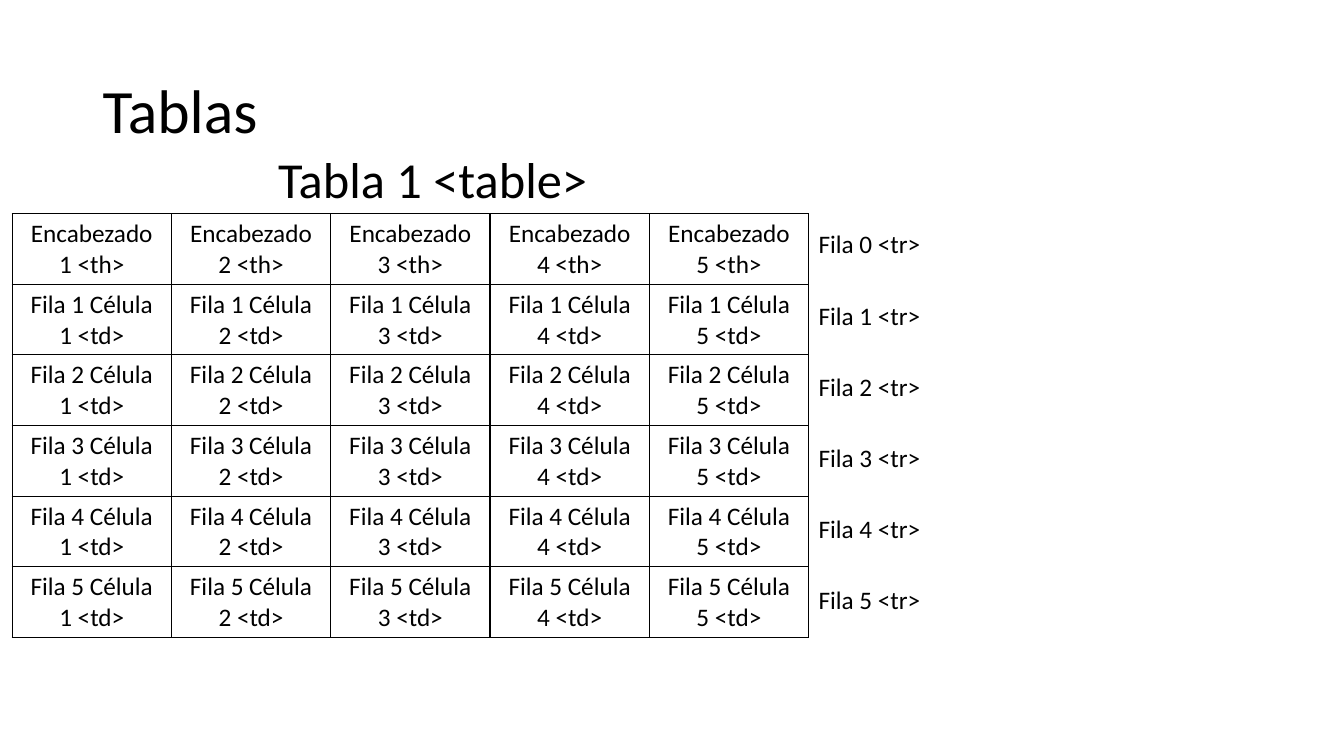
from dataclasses import dataclass

from lxml import etree
from pptx import Presentation, util as u
from pptx.dml.color import RGBColor
from pptx.enum import text
from pptx.oxml.ns import qn


@dataclass(frozen=True)
class Theme:
    font: str = "Calibri"
    ink: str = "000000"
    title: float = 44
    caption: float = 36
    body: float = 18
    border: float = 1


@dataclass(frozen=True)
class Box:
    """A region in inches."""
    left: float
    top: float
    width: float
    height: float

    def emu(self):
        return [u.Inches(n) for n in (self.left, self.top, self.width, self.height)]


THEME = Theme()
SLIDE = Box(0, 0, 13.33, 7.5)
ROWS, COLUMNS = 6, 5
ROW_HEIGHT, COLUMN_WIDTH = 0.7, 1.58
LABEL_GAP = 29.2  # space that brings each label level with its row


def style(paragraph, size, align=text.PP_ALIGN.LEFT):
    paragraph.alignment = align
    paragraph.font.name = THEME.font
    paragraph.font.size = u.Pt(size)
    paragraph.font.color.rgb = RGBColor.from_string(THEME.ink)


def add_text(slide, box, lines, size, anchor=text.MSO_ANCHOR.TOP,
             wrap=True, line_spacing=None, gap=0):
    frame = slide.shapes.add_textbox(*box.emu()).text_frame
    frame.word_wrap = wrap
    frame.vertical_anchor = anchor
    for index, line in enumerate(lines):
        paragraph = frame.add_paragraph() if index else frame.paragraphs[0]
        paragraph.text = line
        paragraph.line_spacing = line_spacing
        if index and gap:
            paragraph.space_before = u.Pt(gap)
        style(paragraph, size)


def set_borders(cell):
    properties = cell._tc.get_or_add_tcPr()
    for position, side in enumerate(("lnL", "lnR", "lnT", "lnB")):
        line = etree.Element(qn(f"a:{side}"), w=str(u.Pt(THEME.border)))
        fill = etree.SubElement(line, qn("a:solidFill"))
        etree.SubElement(fill, qn("a:srgbClr"), val=THEME.ink)
        properties.insert(position, line)


def cell_text(row, column):
    if row == 0:
        return f"Encabezado {column + 1} <th>"
    return f"Fila {row} Célula {column + 1} <td>"


def add_grid(slide, box):
    table = slide.shapes.add_table(ROWS, COLUMNS, *box.emu()).table
    table.first_row = table.horz_banding = False
    for column in table.columns:
        column.width = u.Inches(box.width / COLUMNS)
    for row_index, row in enumerate(table.rows):
        row.height = u.Inches(box.height / ROWS)
        for column_index, cell in enumerate(row.cells):
            cell.text = cell_text(row_index, column_index)
            cell.vertical_anchor = text.MSO_ANCHOR.MIDDLE
            cell.fill.background()
            set_borders(cell)
            style(cell.text_frame.paragraphs[0], THEME.body, text.PP_ALIGN.CENTER)


def add_table_slide(presentation, box):
    slide = presentation.slides.add_slide(presentation.slide_layouts[6])
    grid = Box(box.left + 0.12, box.top + 2.12,
               COLUMNS * COLUMN_WIDTH, ROWS * ROW_HEIGHT)

    # Slide title
    add_text(slide, Box(box.left + 0.92, box.top + 0.4, 11.5, 1.45), ["Tablas"],
             THEME.title, anchor=text.MSO_ANCHOR.MIDDLE, line_spacing=0.9)

    # Table with its caption above
    add_grid(slide, grid)
    add_text(slide, Box(grid.left + 2.54, grid.top - 0.7, 3.8, 0.71),
             ["Tabla 1 <table>"], THEME.caption)

    # Row labels to the right of the table
    add_text(slide, Box(grid.left + grid.width, grid.top + 0.1, 1.22, 3.99),
             [f"Fila {row} <tr>" for row in range(ROWS)],
             THEME.body, wrap=False, gap=LABEL_GAP)


def main():
    presentation = Presentation()
    presentation.slide_width = u.Inches(SLIDE.width)
    presentation.slide_height = u.Inches(SLIDE.height)
    add_table_slide(presentation, SLIDE)
    presentation.save("out.pptx")


if __name__ == "__main__":
    main()
